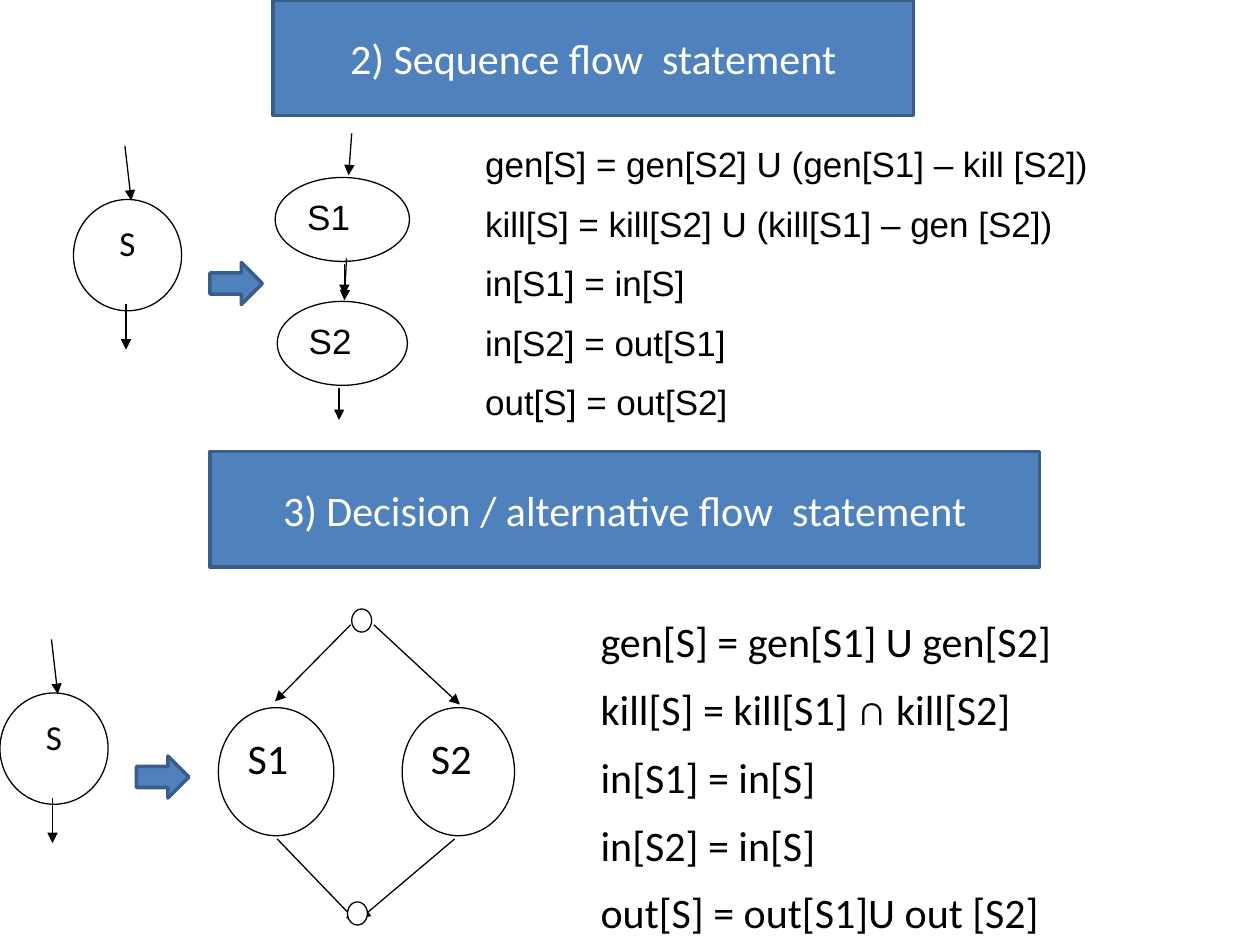
from dataclasses import dataclass

from lxml import etree
from pptx import Presentation
from pptx.dml.color import RGBColor
from pptx.enum.shapes import MSO_CONNECTOR, MSO_SHAPE
from pptx.enum.text import MSO_ANCHOR, MSO_AUTO_SIZE, PP_ALIGN
from pptx.oxml.ns import qn
from pptx.util import Inches, Pt

OVAL, RECTANGLE = MSO_SHAPE.OVAL, MSO_SHAPE.RECTANGLE
RIGHT_ARROW, STRAIGHT = MSO_SHAPE.RIGHT_ARROW, MSO_CONNECTOR.STRAIGHT
LEFT, CENTER = PP_ALIGN.LEFT, PP_ALIGN.CENTER
TOP, MIDDLE = MSO_ANCHOR.TOP, MSO_ANCHOR.MIDDLE


@dataclass(frozen=True)
class Theme:
    ink: RGBColor = RGBColor(0, 0, 0)
    paper: RGBColor = RGBColor(255, 255, 255)
    accent: RGBColor = RGBColor(0x4F, 0x81, 0xBD)
    accent_edge: RGBColor = RGBColor(0x39, 0x5E, 0x89)
    large: int = 24
    small: int = 20
    gap: int = 10
    thin: float = 0.75
    thick: float = 2


THEME = Theme()
COLUMNS, ROWS = 120, 90
WIDTH, HEIGHT = Inches(10), Inches(7.5)

SECTIONS = [
    {
        "title": "2) Sequence flow  statement",
        "banner": (26, 0, 61, 11),
        "equations": [
            "gen[S] = gen[S2] U (gen[S1] – kill [S2])",
            "kill[S] = kill[S2] U (kill[S1] – gen [S2])",
            "in[S1] = in[S]",
            "in[S2] = out[S1]",
            "out[S] = out[S2]",
        ],
        "equation_box": (45, 13, 65, 13),
        "font": "Arial",
        "size": THEME.small,
        "statement": (7, 19),
        "nodes": [("S1", (26.2, 16.9, 12.8, 8)), ("S2", (26.4, 28.7, 12.4, 8))],
        "flows": [
            (33.5, 12.7, 33.2, 16.7),
            (32.8, 25.1, 32.8, 28.1),
            (33, 24.6, 32.8, 28.6),
            (32.3, 37, 32.3, 40),
        ],
        "joints": [],
    },
    {
        "title": "3) Decision / alternative flow  statement",
        "banner": (20, 43, 79, 11),
        "equations": [
            "gen[S] = gen[S1] U gen[S2]",
            "kill[S] = kill[S1] ∩ kill[S2]",
            "in[S1] = in[S]",
            "in[S2] = in[S]",
            "out[S] = out[S1]U out [S2]",
        ],
        "equation_box": (56, 58, 52, 25),
        "font": "Calibri",
        "size": THEME.large,
        "statement": (0, 66),
        "nodes": [("S1", (20.8, 67.4, 11, 12.2)), ("S2", (38.3, 67.4, 10.7, 12.2))],
        "flows": [
            (33.4, 59.5, 26.2, 66.8),
            (35.6, 59.5, 43.8, 67.1),
            (26.4, 79.9, 34, 87.8),
            (43.3, 79.9, 34.3, 87.5),
        ],
        "joints": [(33.5, 58, 1.9, 2.2), (33.1, 85.9, 1.9, 2.2)],
    },
]


def place(box):
    totals = (COLUMNS, ROWS, COLUMNS, ROWS)
    lengths = (WIDTH, HEIGHT, WIDTH, HEIGHT)
    return [round(part / total * length) for part, total, length in zip(box, totals, lengths)]


def move(shape, box):
    shape.left, shape.top, shape.width, shape.height = place(box)


def write(shape, lines, font, size, color, align=LEFT, anchor=TOP):
    frame = shape.text_frame
    frame.word_wrap = True
    frame.auto_size = MSO_AUTO_SIZE.NONE
    frame.vertical_anchor = anchor
    for index, line in enumerate(lines):
        paragraph = frame.add_paragraph() if index else frame.paragraphs[0]
        properties = paragraph._p.get_or_add_pPr()
        properties.set("marL", "0")
        properties.set("indent", "0")
        etree.SubElement(properties, qn("a:buNone"))
        paragraph.alignment = align
        paragraph.space_before = Pt(THEME.gap if index else 0)
        run = paragraph.add_run()
        run.text = line
        run.font.name, run.font.size = font, Pt(size)
        run.font.color.rgb = color


def paint(shape, fill, edge, width):
    shape.fill.solid()
    shape.fill.fore_color.rgb = fill
    shape.line.color.rgb = edge
    shape.line.width = Pt(width)


def add_figure(slide, kind, box, fill, edge, width):
    shape = slide.shapes.add_shape(kind, *place(box))
    shape.shadow.inherit = False
    paint(shape, fill, edge, width)
    return shape


def add_oval(slide, box):
    return add_figure(slide, OVAL, box, THEME.paper, THEME.ink, THEME.thin)


def add_accent(slide, kind, box):
    return add_figure(slide, kind, box, THEME.accent, THEME.accent_edge, THEME.thick)


def add_flow(slide, ends):
    connector = slide.shapes.add_connector(STRAIGHT, *place(ends))
    connector.line.color.rgb = THEME.ink
    connector.line.width = Pt(THEME.thin)
    etree.SubElement(connector.line._get_or_add_ln(), qn("a:tailEnd"), type="triangle")
    etree.SubElement(connector._element.spPr, qn("a:effectLst"))


def add_statement(slide, left, top):
    circle = add_oval(slide, (left, top, 10.3, 10.6))
    write(circle, ["S"], "Calibri", THEME.small, THEME.ink, CENTER)
    add_flow(slide, (left + 4.9, top - 5.1, left + 5.5, top + 0.1))
    add_flow(slide, (left + 5, top + 10, left + 5, top + 14.3))
    add_accent(slide, RIGHT_ARROW, (left + 13, top + 6, 5, 4))


def add_section(slide, section, banner, body):
    font, size = section["font"], section["size"]
    write(banner, [section["title"]], "Calibri", THEME.large, THEME.paper, CENTER, MIDDLE)
    move(body, section["equation_box"])
    write(body, section["equations"], font, size, THEME.ink)
    add_statement(slide, *section["statement"])
    for label, box in section["nodes"]:
        write(add_oval(slide, box), [label], font, size, THEME.ink)
    for ends in section["flows"]:
        add_flow(slide, ends)
    for box in section["joints"]:
        add_oval(slide, box)


def main():
    presentation = Presentation()
    presentation.slide_width, presentation.slide_height = WIDTH, HEIGHT
    slide = presentation.slides.add_slide(presentation.slide_layouts.get_by_name("Two Content"))
    title, *bodies = list(slide.placeholders)[:3]
    sequence, decision = SECTIONS
    move(title, sequence["banner"])
    paint(title, THEME.accent, THEME.accent_edge, THEME.thick)
    add_section(slide, sequence, title, bodies[0])
    banner = add_accent(slide, RECTANGLE, decision["banner"])
    add_section(slide, decision, banner, bodies[1])
    presentation.save("out.pptx")


if __name__ == "__main__":
    main()
